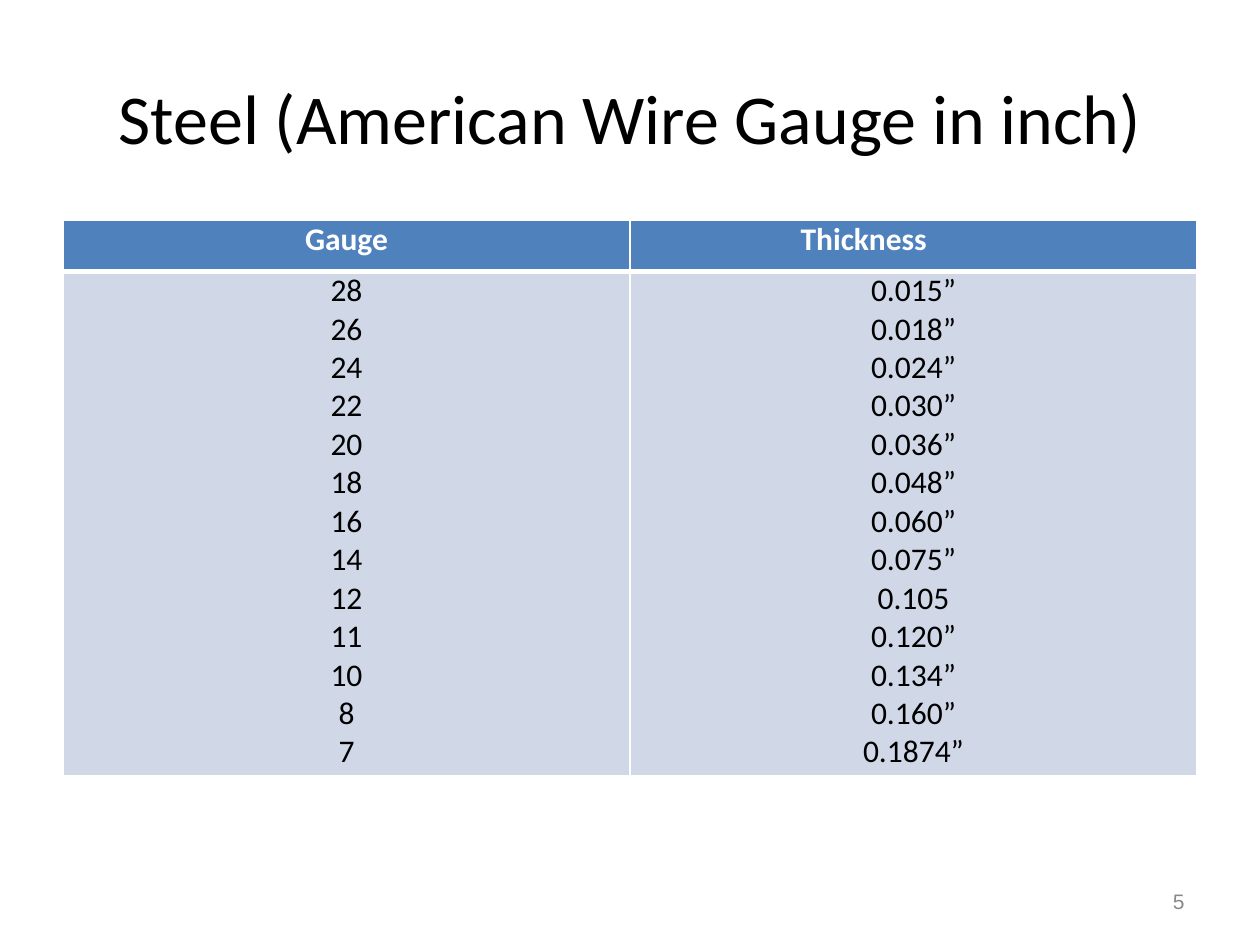
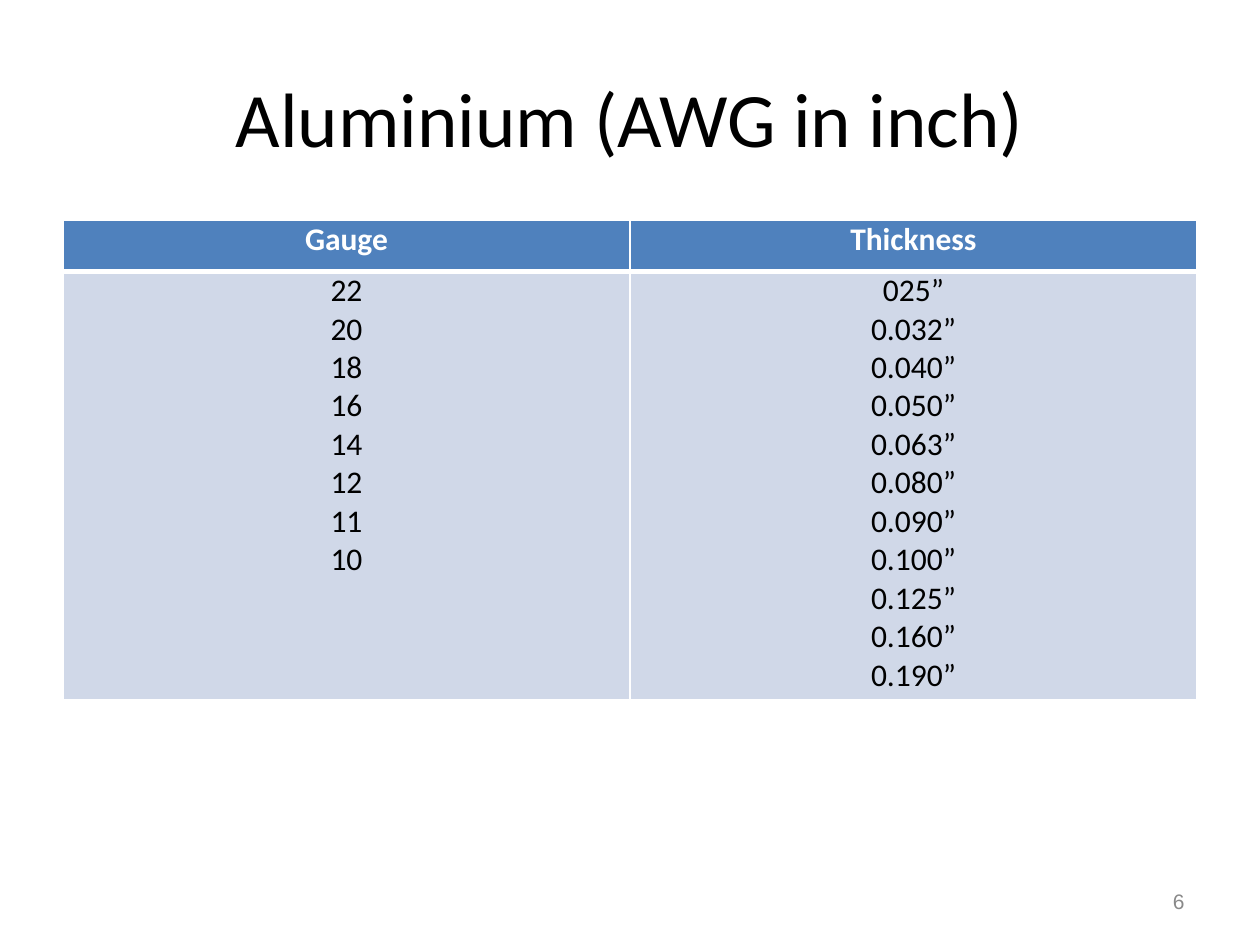
from lxml import etree
from pptx import Presentation
from pptx.dml.color import RGBColor
from pptx.enum.text import MSO_ANCHOR, PP_ALIGN
from pptx.oxml.ns import qn
from pptx.util import Pt

LEFT, CENTER, RIGHT = PP_ALIGN.LEFT, PP_ALIGN.CENTER, PP_ALIGN.RIGHT
TOP, MIDDLE = MSO_ANCHOR.TOP, MSO_ANCHOR.MIDDLE
WHITE, BLACK, GREY = "FFFFFF", "000000", "898989"
HEADER_FILL, BODY_FILL = "4F81BD", "D0D8E8"
MARGIN, CONTENT_W = 36, 648


def write(tf, text, size=18, font="Calibri", color=BLACK, bold=False, align=CENTER, anchor=MIDDLE):
    tf.word_wrap = True
    tf.vertical_anchor = anchor
    p = tf.paragraphs[0]
    p.text = text
    p.alignment = align
    for r in p.runs:
        r.font.size = Pt(size)
        r.font.name = font
        r.font.bold = bold
        r.font.color.rgb = RGBColor.from_string(color)


def style_cell(cell, fill, top, bottom, left=0):
    cell.margin_left = Pt(left)
    cell.margin_right = cell.margin_top = cell.margin_bottom = 0
    tcPr = cell._tc.get_or_add_tcPr()
    for side, width in (("L", 1), ("R", 1), ("T", top), ("B", bottom)):
        ln = etree.SubElement(tcPr, qn(f"a:ln{side}"), w=str(Pt(width)))
        line_fill = etree.SubElement(ln, qn("a:solidFill"))
        etree.SubElement(line_fill, qn("a:srgbClr"), val=WHITE)
    cell.fill.solid()
    cell.fill.fore_color.rgb = RGBColor.from_string(fill)


slides = [
    {
        "title": "Steel (American Wire Gauge in inch)", "title_size": 40, "number": "5",
        "body_height": 288, "thickness_align": LEFT, "thickness_indent": 97.5,
        "gauges": "28 26 24 22 20 18 16 14 12 11 10 8 7",
        "thicknesses": "0.015” 0.018” 0.024” 0.030” 0.036” 0.048” 0.060” 0.075” "
                       "0.105 0.120” 0.134” 0.160” 0.1874”",
    },
    {
        "title": "Aluminium (AWG in inch)", "title_size": 44, "number": "6",
        "body_height": 244.8, "thickness_align": CENTER, "thickness_indent": 0,
        "gauges": "22 20 18 16 14 12 11 10",
        "thicknesses": "025” 0.032” 0.040” 0.050” 0.063” 0.080” 0.090” 0.100” "
                       "0.125” 0.160” 0.190”",
    },
]

prs = Presentation()
prs.slide_width, prs.slide_height = Pt(720), Pt(540)

for data in slides:
    s = prs.slides.add_slide(prs.slide_layouts[5])

    title = s.shapes.title
    title.left, title.top, title.width, title.height = Pt(MARGIN), Pt(21.6), Pt(CONTENT_W), Pt(90)
    write(title.text_frame, data["title"], size=data["title_size"])

    heights = (29.2, data["body_height"])
    table = s.shapes.add_table(2, 2, Pt(MARGIN), Pt(126), Pt(CONTENT_W), Pt(sum(heights))).table
    for row, height in zip(table.rows, heights):
        row.height = Pt(height)

    columns = [
        ("Gauge", data["gauges"], CENTER, 0),
        ("Thickness", data["thicknesses"], data["thickness_align"], data["thickness_indent"]),
    ]
    for c, (heading, values, align, indent) in enumerate(columns):
        table.columns[c].width = Pt(CONTENT_W / 2)
        header, body = table.cell(0, c), table.cell(1, c)
        style_cell(header, HEADER_FILL, top=1, bottom=3, left=indent)
        write(header.text_frame, heading, color=WHITE, bold=True, align=align, anchor=TOP)
        style_cell(body, BODY_FILL, top=3, bottom=1)
        write(body.text_frame, "\n".join(values.split()), anchor=TOP)

    sp = s.shapes.add_textbox(Pt(516), Pt(500.5), Pt(168), Pt(28.75))
    write(sp.text_frame, data["number"], size=12, font="Arial", color=GREY, align=RIGHT)

prs.save("out.pptx")
